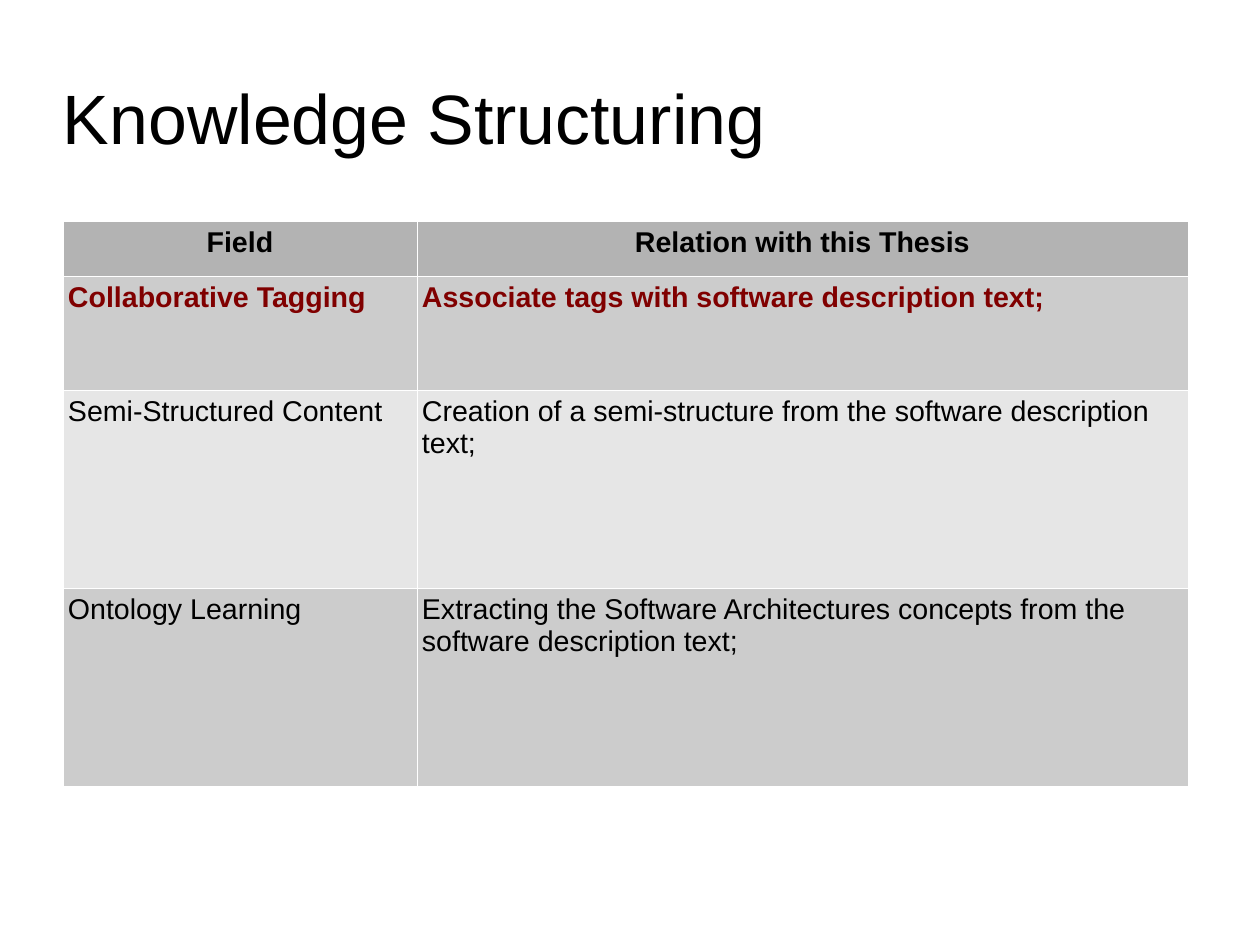
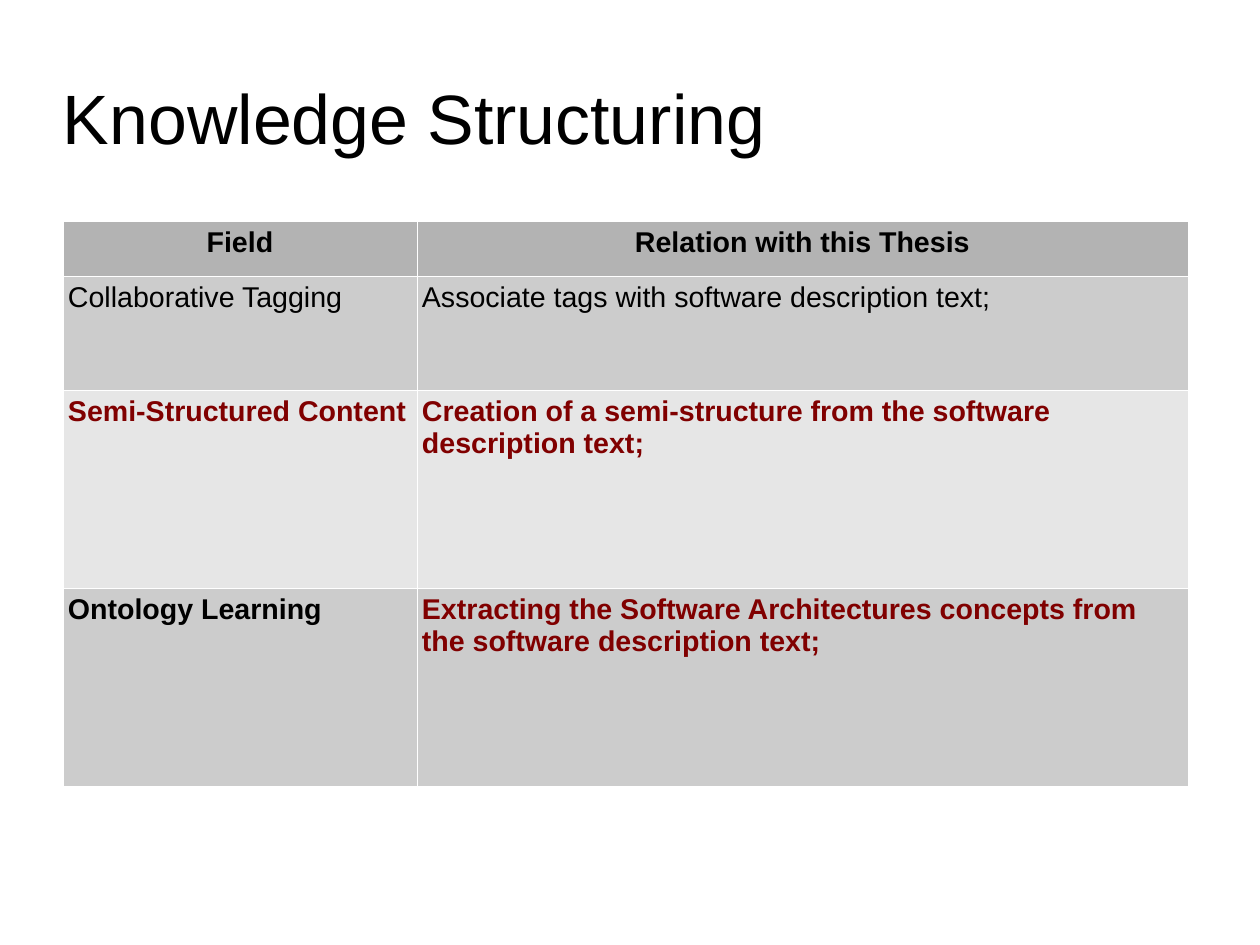
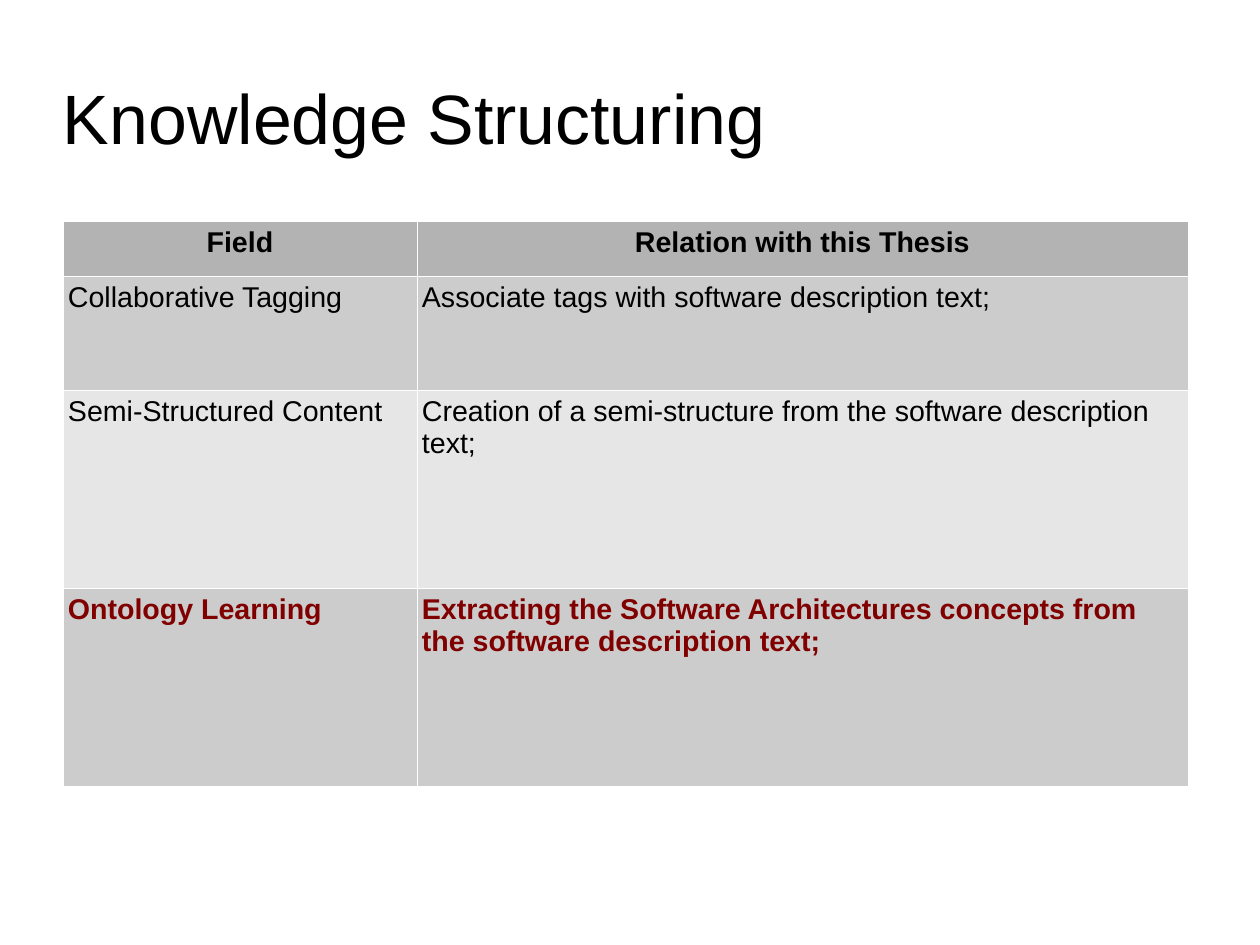
from lxml.etree import SubElement
from pptx import Presentation
from pptx.dml.color import RGBColor
from pptx.enum.text import MSO_ANCHOR, PP_ALIGN
from pptx.oxml.ns import qn
from pptx.util import Pt

TITLE = "Knowledge Structuring"
HEADER = ("Field", "Relation with this Thesis")
FIELDS = [
    ("Collaborative Tagging", "Associate tags with software description text;"),
    ("Semi-Structured Content",
     "Creation of a semi-structure from the software description text;"),
    ("Ontology Learning",
     "Extracting the Software Architectures concepts from the software description text;"),
]
PLAIN, ACCENT, STRONG = "plain", "accent", "strong"
SLIDES = [
    [(ACCENT, ACCENT), (PLAIN, PLAIN), (PLAIN, PLAIN)],
    [(PLAIN, PLAIN), (ACCENT, ACCENT), (STRONG, ACCENT)],
    [(PLAIN, PLAIN), (PLAIN, PLAIN), (ACCENT, ACCENT)],
]

COLORS = {"text": "000000", "accent": "800000", "border": "FFFFFF",
          "header": "B3B3B3", "odd": "CCCCCC", "even": "E6E6E6"}
STYLES = {
    "title": {"size": 44, "bold": False, "color": "text"},
    PLAIN: {"size": 18, "bold": False, "color": "text"},
    STRONG: {"size": 18, "bold": True, "color": "text"},
    ACCENT: {"size": 18, "bold": True, "color": "accent"},
}
FONT = "Arial"
PX = 8000
SLIDE_SIZE = (1260, 945)
TITLE_BOX = (63, 38, 1134, 158)
TABLE_AT = (63, 221)
COLS = (354, 771)
ROWS = (55, 114, 198, 198)
CELL_MARGINS = {"margin_left": 5, "margin_right": 5, "margin_top": 6, "margin_bottom": 6}
BORDER_PT = 0.57


def px(*lengths):
    """Convert pixel lengths to EMU."""
    return [n * PX for n in lengths]


def rgb(name):
    """Return a named colour."""
    return RGBColor.from_string(COLORS[name])


def write(tf, text, style, align=PP_ALIGN.LEFT):
    """Put one styled run into a text frame."""
    p = tf.paragraphs[0]
    p.alignment = align
    r = p.add_run()
    r.text = text
    look = STYLES[style]
    for key, value in {"name": FONT, "size": Pt(look["size"]), "bold": look["bold"]}.items():
        setattr(r.font, key, value)
    r.font.color.rgb = rgb(look["color"])


def add_title(s):
    """Add the slide title."""
    tf = s.shapes.add_textbox(*px(*TITLE_BOX)).text_frame
    form = {"word_wrap": True, "vertical_anchor": MSO_ANCHOR.MIDDLE,
            **dict.fromkeys(CELL_MARGINS, 0)}
    for key, value in form.items():
        setattr(tf, key, value)
    write(tf, TITLE, "title")


def format_cell(cell, fill):
    """Set the margins, borders and fill of a cell."""
    for key, value in CELL_MARGINS.items():
        setattr(cell, key, value * PX)
    tcPr = cell._tc.get_or_add_tcPr()
    for side in "LRTB":
        ln = SubElement(tcPr, qn(f"a:ln{side}"), w=str(Pt(BORDER_PT)))
        SubElement(SubElement(ln, qn("a:solidFill")), qn("a:srgbClr"), val=COLORS["border"])
    cell.fill.solid()
    cell.fill.fore_color.rgb = rgb(fill)


def add_fields_table(s, styles):
    """Add the table of fields with the given cell styles."""
    size = px(*TABLE_AT, sum(COLS), sum(ROWS))
    table = s.shapes.add_table(len(ROWS), len(COLS), *size).table
    for col, width in zip(table.columns, px(*COLS)):
        col.width = width
    for row, height in zip(table.rows, px(*ROWS)):
        row.height = height
    looks = [(STRONG, STRONG), *styles]
    for i, texts in enumerate([HEADER, *FIELDS]):
        fill = "header" if i == 0 else "odd" if i % 2 else "even"
        align = PP_ALIGN.LEFT if i else PP_ALIGN.CENTER
        for j, text in enumerate(texts):
            cell = table.cell(i, j)
            format_cell(cell, fill)
            write(cell.text_frame, text, looks[i][j], align)


def main():
    """Build and save the presentation."""
    prs = Presentation()
    prs.slide_width, prs.slide_height = px(*SLIDE_SIZE)
    for styles in SLIDES:
        s = prs.slides.add_slide(prs.slide_layouts[6])
        add_title(s)
        add_fields_table(s, styles)
    prs.save("out.pptx")


if __name__ == "__main__":
    main()
